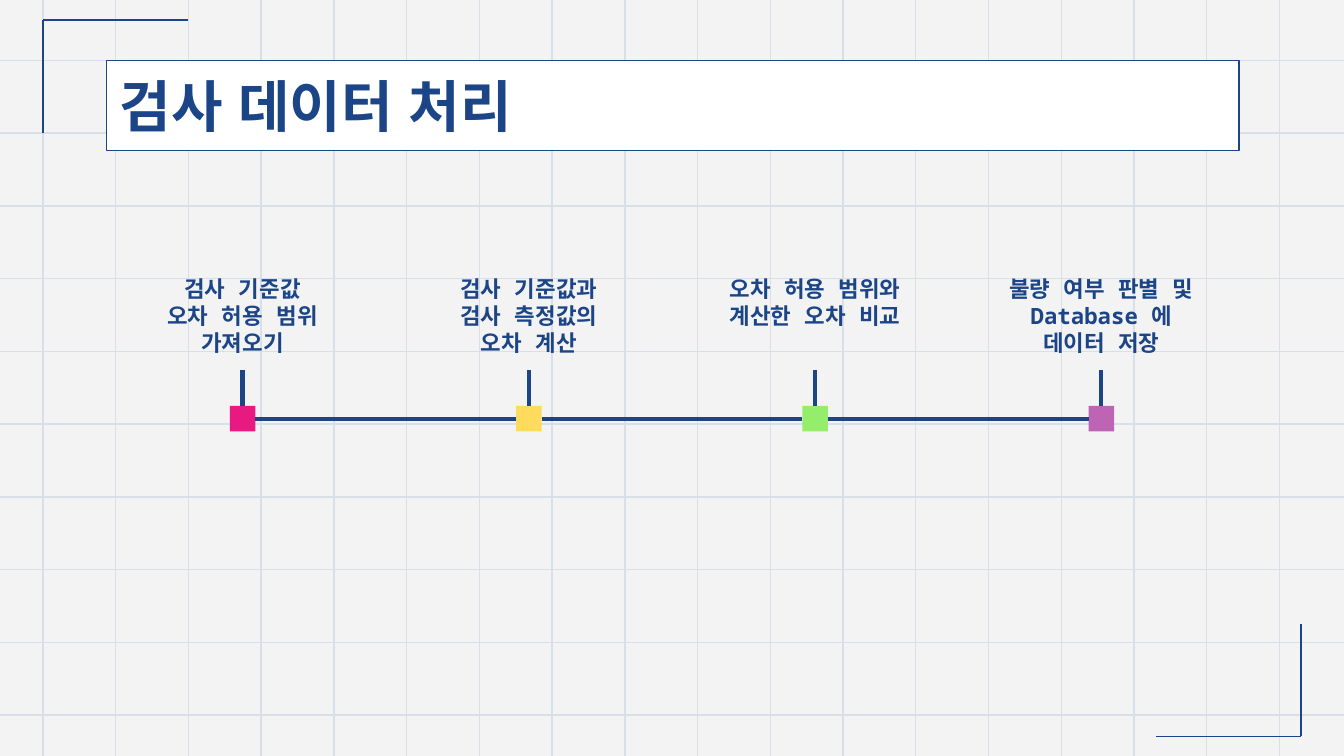
from dataclasses import dataclass

from lxml.etree import SubElement
from pptx import Presentation
from pptx.dml.color import RGBColor
from pptx.enum.shapes import MSO_CONNECTOR, MSO_SHAPE
from pptx.enum.text import MSO_ANCHOR, MSO_AUTO_SIZE, PP_ALIGN
from pptx.oxml.ns import qn
from pptx.util import Inches, Pt


@dataclass(frozen=True)
class Theme:
    background: str = "F3F3F3"
    grid: str = "D9DFE9"
    navy: str = "1C4587"
    white: str = "FFFFFF"
    title_font: str = "Montserrat"
    label_font: str = "Noto Sans Mono"
    title_size: float = 30
    label_size: float = 12
    thin: float = 0.75
    thick: float = 2.25


THEME = Theme()
WIDTH, HEIGHT = 10, 10 * 9 / 16
TOP, LEFT, BOTTOM, RIGHT = range(4)

GRID_LEFT, GRID_TOP = 0.32, 0.45
GRID_COLUMNS, GRID_ROWS = 18, 10
GRID_STEP = (9.52 - GRID_LEFT) / (GRID_COLUMNS - 1)

CORNERS = [
    (0.32, 0.99, 0.32, 0.15),
    (1.4, 0.15, 0.32, 0.15),
    (9.68, 4.64, 9.68, 5.48),
    (8.6, 5.48, 9.68, 5.48),
]

LABEL_LEFT, LABEL_TOP, LABEL_WIDTH, LABEL_HEIGHT = 0.79, 1.95, 2.03, 0.8
STEP_PITCH = 2.13
MARKER_TOP, MARKER_SIZE = 3.02, 0.19

STEPS = [
    ("E81981", "검사 기준값\n오차 허용 범위\n가져오기"),
    ("FFDB5D", "검사 기준값과\n검사 측정값의\n오차 계산"),
    ("94EE6B", "오차 허용 범위와\n계산한 오차 비교"),
    ("BD64B5", "불량 여부 판별 및\nDatabase 에\n데이터 저장"),
]


def color(value):
    return RGBColor.from_string(value)


def style_text(frame, font_name, size, alignment):
    frame.word_wrap = True
    frame.auto_size = MSO_AUTO_SIZE.NONE
    frame.margin_left = frame.margin_right = Inches(0.1)
    frame.margin_top = frame.margin_bottom = Inches(0.1)
    for para in frame.paragraphs:
        para.alignment = alignment
        for span in para.runs:
            span.font.name = font_name
            span.font.size = Pt(size)
            span.font.bold = True
            span.font.color.rgb = color(THEME.navy)
            east_asian = SubElement(span.font._element, qn("a:ea"))
            east_asian.set("typeface", font_name)


def add_line(page, start_x, start_y, end_x, end_y, line_color, weight):
    points = [Inches(value) for value in (start_x, start_y, end_x, end_y)]
    line = page.shapes.add_connector(MSO_CONNECTOR.STRAIGHT, *points)
    line.line.color.rgb = color(line_color)
    line.line.width = Pt(weight)
    SubElement(line._element.spPr, qn("a:effectLst"))
    return line


def join(page, start, start_side, end, end_side):
    """Draw a timeline line between the sides of two shapes."""
    line = add_line(page, 0, 0, 1, 1, THEME.navy, THEME.thick)
    line.begin_connect(start, start_side)
    line.end_connect(end, end_side)


def add_grid(page):
    for row in range(GRID_ROWS):
        y = GRID_TOP + row * GRID_STEP
        add_line(page, 0, y, WIDTH, y, THEME.grid, THEME.thin)
    for column in range(GRID_COLUMNS):
        x = GRID_LEFT + column * GRID_STEP
        add_line(page, x, HEIGHT, x, 0, THEME.grid, THEME.thin)


def add_title(page, text):
    title = page.shapes.title
    title.left, title.top = Inches(0.79), Inches(0.45)
    title.width, title.height = Inches(8.43), Inches(0.67)
    title.fill.solid()
    title.fill.fore_color.rgb = color(THEME.white)
    title.line.color.rgb = color(THEME.navy)
    title.line.width = Pt(THEME.thin)
    title.text_frame.text = text
    title.text_frame.vertical_anchor = MSO_ANCHOR.MIDDLE
    style_text(title.text_frame, THEME.title_font, THEME.title_size, PP_ALIGN.LEFT)
    # The title must cover the grid lines behind it.
    page.shapes.element.append(title.element)


def add_label(page, left, text):
    box = page.shapes.add_textbox(
        Inches(left), Inches(LABEL_TOP), Inches(LABEL_WIDTH), Inches(LABEL_HEIGHT)
    )
    box.text_frame.text = text
    style_text(box.text_frame, THEME.label_font, THEME.label_size, PP_ALIGN.CENTER)
    return box


def add_marker(page, left, fill):
    marker = page.shapes.add_shape(
        MSO_SHAPE.RECTANGLE,
        Inches(left), Inches(MARKER_TOP), Inches(MARKER_SIZE), Inches(MARKER_SIZE),
    )
    marker.shadow.inherit = False
    marker.fill.solid()
    marker.fill.fore_color.rgb = color(fill)
    marker.line.fill.background()
    return marker


def add_timeline(page):
    previous = None
    for index, (fill, text) in enumerate(STEPS):
        left = LABEL_LEFT + index * STEP_PITCH
        label = add_label(page, left, text)
        marker = add_marker(page, left + (LABEL_WIDTH - MARKER_SIZE) / 2, fill)
        if previous is not None:
            join(page, previous, RIGHT, marker, LEFT)
        join(page, marker, TOP, label, BOTTOM)
        previous = marker


def main():
    deck = Presentation()
    deck.slide_width, deck.slide_height = Inches(WIDTH), Inches(HEIGHT)
    page = deck.slides.add_slide(deck.slide_layouts.get_by_name("Title Only"))
    page.background.fill.solid()
    page.background.fill.fore_color.rgb = color(THEME.background)
    add_grid(page)
    for corner in CORNERS:
        add_line(page, *corner, THEME.navy, THEME.thin)
    add_title(page, "검사 데이터 처리")
    add_timeline(page)
    deck.save("out.pptx")


if __name__ == "__main__":
    main()
